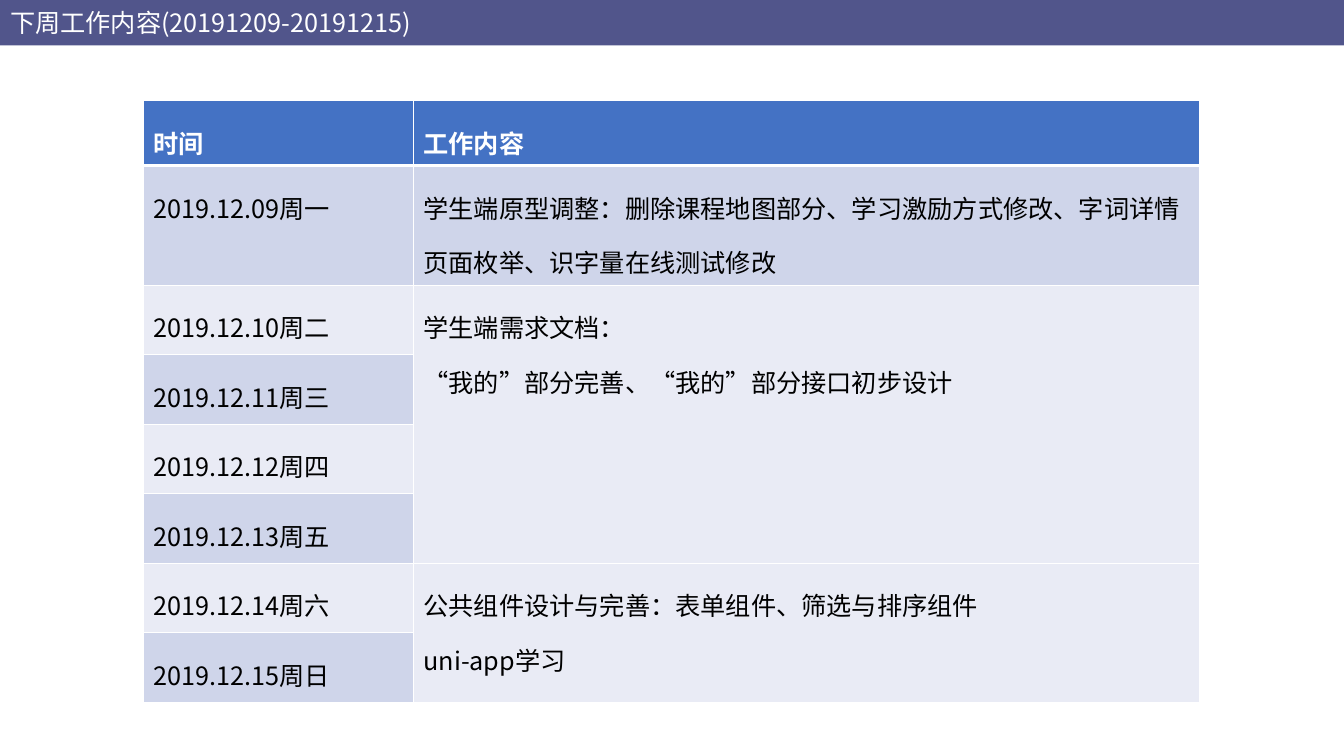
from lxml import etree
from pptx import Presentation
from pptx.dml.color import RGBColor
from pptx.enum.lang import MSO_LANGUAGE_ID
from pptx.enum.text import MSO_ANCHOR, MSO_AUTO_SIZE, PP_ALIGN
from pptx.oxml import parse_xml
from pptx.oxml.ns import nsdecls, qn
from pptx.util import Inches, Pt

CHINESE = MSO_LANGUAGE_ID.SIMPLIFIED_CHINESE
MIDDLE, TOP = MSO_ANCHOR.MIDDLE, MSO_ANCHOR.TOP
NO_FIT = MSO_AUTO_SIZE.NONE
LEFT = PP_ALIGN.LEFT

FONT = "Noto Sans CJK SC"
WHITE = RGBColor(0xFF, 0xFF, 0xFF)
BLACK = RGBColor(0, 0, 0)
PURPLE = RGBColor(0x51, 0x55, 0x8B)
HEADER_BLUE = RGBColor(0x44, 0x72, 0xC4)
BAND_DARK = RGBColor(0xCF, 0xD5, 0xEA)
BAND_LIGHT = RGBColor(0xE9, 0xEB, 0xF5)

SLIDE_WIDTH, SLIDE_HEIGHT = 13.33, 7.5
TITLE = "下周工作内容(20191209-20191215)"
HEADINGS = ["时间", "工作内容"]
DAYS = ["2019.12.09周一", "2019.12.10周二", "2019.12.11周三", "2019.12.12周四",
        "2019.12.13周五", "2019.12.14周六", "2019.12.15周日"]
# First row, last row, lines of work
TASKS = [
    (1, 1, ["学生端原型调整：删除课程地图部分、学习激励方式修改、字词详情页面枚举、识字量在线测试修改"]),
    (2, 5, ["学生端需求文档：", "“我的”部分完善、“我的”部分接口初步设计"]),
    (6, 7, ["公共组件设计与完善：表单组件、筛选与排序组件", "uni-app学习"]),
]


def write_text(frame, lines, size=18, color=BLACK, bold=False, spacing=1.0):
    for index, line in enumerate(lines):
        para = frame.paragraphs[0] if index == 0 else frame.add_paragraph()
        para.alignment = LEFT
        para.line_spacing = spacing
        span = para.add_run()
        span.text = line
        font = span.font
        font.size, font.bold, font.name = Pt(size), bold, FONT
        font.color.rgb = color
        font.language_id = CHINESE
        east_asian = etree.SubElement(span._r.get_or_add_rPr(), qn("a:ea"))
        east_asian.set("typeface", FONT)


def style_cell(cell, fill, top=1, bottom=1):
    properties = cell._tc.get_or_add_tcPr()
    for side, width in (("L", 1), ("R", 1), ("T", top), ("B", bottom)):
        properties.append(parse_xml(
            f'<a:ln{side} {nsdecls("a")} w="{Pt(width)}"><a:solidFill>'
            f'<a:srgbClr val="{WHITE}"/></a:solidFill></a:ln{side}>'))
    cell.fill.solid()
    cell.fill.fore_color.rgb = fill
    cell.vertical_anchor = TOP


def add_title_bar(page, left, top, width, height):
    bar = page.shapes.title
    bar.left, bar.top = Inches(left), Inches(top)
    bar.width, bar.height = Inches(width), Inches(height)
    # Slightly rounded corners
    bar._element.spPr.insert(1, parse_xml(
        f'<a:prstGeom {nsdecls("a")} prst="roundRect"><a:avLst>'
        '<a:gd name="adj" fmla="val 2700"/></a:avLst></a:prstGeom>'))
    bar.fill.solid()
    bar.fill.fore_color.rgb = PURPLE
    frame = bar.text_frame
    frame.auto_size = NO_FIT
    frame.word_wrap = True
    frame.vertical_anchor = MIDDLE
    write_text(frame, [TITLE], color=WHITE)


def add_schedule(page, left, top, width, height):
    row_count = len(DAYS) + 1
    table = page.shapes.add_table(row_count, 2, Inches(left), Inches(top),
                                  Inches(width), Inches(height)).table
    day_width, header_height = 2.68, 0.42
    table.columns[0].width = Inches(day_width)
    table.columns[1].width = Inches(width - day_width)
    table.rows[0].height = Inches(header_height)

    # Header
    for column, heading in enumerate(HEADINGS):
        cell = table.cell(0, column)
        style_cell(cell, HEADER_BLUE, bottom=3)
        write_text(cell.text_frame, [heading], color=WHITE, bold=True, spacing=1.5)

    # Days, in alternating bands
    for row, day in enumerate(DAYS, start=1):
        table.rows[row].height = Inches((height - header_height) / len(DAYS))
        band = BAND_DARK if row % 2 else BAND_LIGHT
        for column in range(2):
            style_cell(table.cell(row, column), band, top=3 if row == 1 else 1)
        write_text(table.cell(row, 0).text_frame, [day], spacing=1.5)

    # Work, merged over the days it takes
    for first, last, lines in TASKS:
        cell = table.cell(first, 1)
        if last > first:
            cell.merge(table.cell(last, 1))
        write_text(cell.text_frame, lines, spacing=1.5)


def build_schedule_slide(deck):
    page = deck.slides.add_slide(deck.slide_layouts[5])
    add_title_bar(page, 0, 0, SLIDE_WIDTH, 0.45)
    add_schedule(page, 1.42, 1, 10.48, 5.25)


deck = Presentation()
deck.slide_width, deck.slide_height = Inches(SLIDE_WIDTH), Inches(SLIDE_HEIGHT)
build_schedule_slide(deck)
deck.save("out.pptx")
